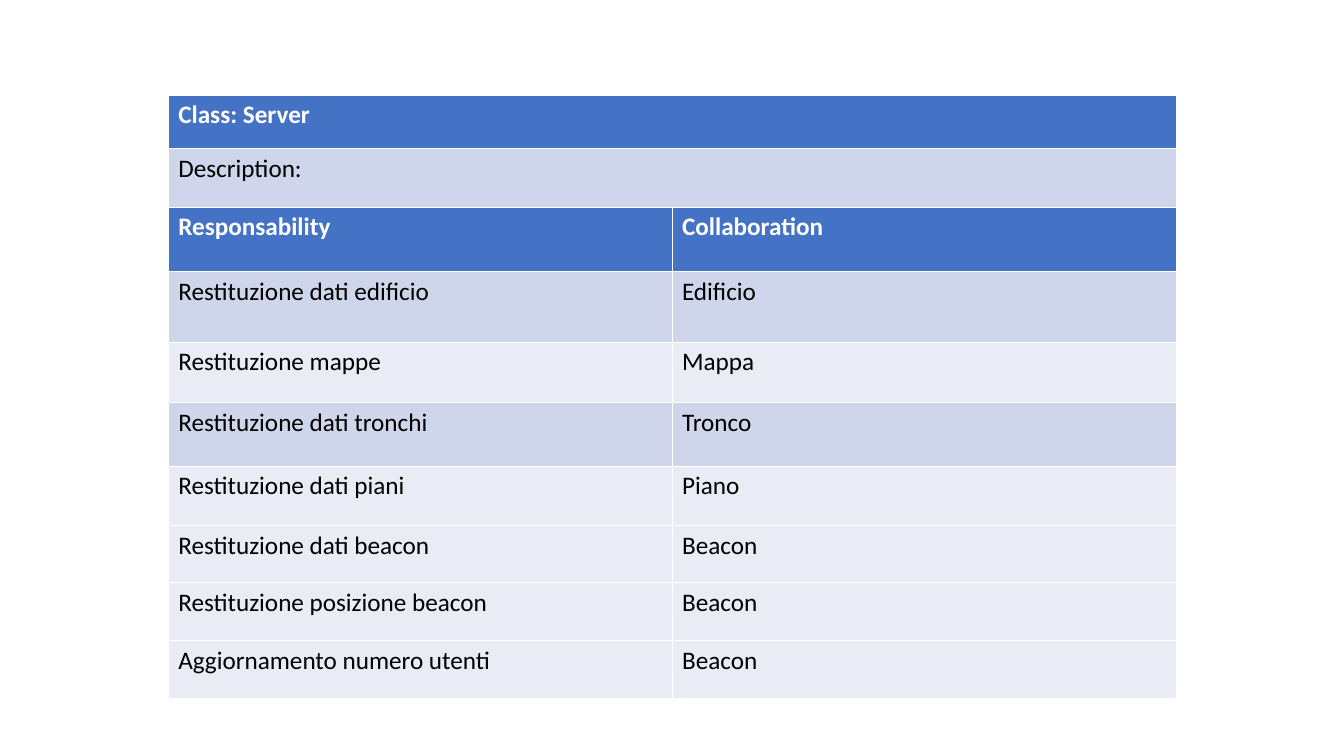
from lxml.etree import SubElement
from pptx import Presentation
from pptx.dml.color import RGBColor
from pptx.oxml.ns import qn
from pptx.util import Inches, Pt

WHITE = RGBColor(0xFF, 0xFF, 0xFF)
BLACK = RGBColor(0x00, 0x00, 0x00)
BLUE = RGBColor(0x44, 0x72, 0xC4)
DARK_BAND = RGBColor(0xCF, 0xD5, 0xEA)
LIGHT_BAND = RGBColor(0xE9, 0xEB, 0xF5)

LEFT, WIDTH = 1.67, 10
THIN, THICK = Pt(0.23), Pt(0.75)

# Each row: height, fill, texts
CLASS_ROWS = [
    (0.53, BLUE, ["Class: Server"]),
    (0.59, DARK_BAND, ["Description:"]),
]
DUTY_ROWS = [
    (0.64, BLUE, ["Responsability", "Collaboration"]),
    (0.7, DARK_BAND, ["Restituzione dati edificio", "Edificio"]),
    (0.6, LIGHT_BAND, ["Restituzione mappe", "Mappa"]),
    (0.63, DARK_BAND, ["Restituzione dati tronchi", "Tronco"]),
    (0.59, LIGHT_BAND, ["Restituzione dati piani", "Piano"]),
    (0.57, LIGHT_BAND, ["Restituzione dati beacon", "Beacon"]),
    (0.57, LIGHT_BAND, ["Restituzione posizione beacon", "Beacon"]),
    (0.58, LIGHT_BAND, ["Aggiornamento numero utenti", "Beacon"]),
]


def set_borders(cell, top, bottom):
    """Draw white cell borders; must run before the fill is set."""
    properties = cell._tc.get_or_add_tcPr()
    sides = {"lnL": THIN, "lnR": THIN, "lnT": top, "lnB": bottom}
    for side, width in sides.items():
        line = SubElement(properties, qn(f"a:{side}"), w=str(int(width)))
        solid = SubElement(line, qn("a:solidFill"))
        SubElement(solid, qn("a:srgbClr"), val=str(WHITE))


def write_cell(cell, text, is_header):
    paragraph = cell.text_frame.paragraphs[0]
    paragraph.line_spacing = 0.98
    run = paragraph.add_run()
    run.text = text
    run.font.name = "Calibri"
    run.font.size = Pt(18)
    run.font.bold = is_header
    run.font.color.rgb = WHITE if is_header else BLACK


def add_card_table(slide, top, rows):
    """Add a table whose first row is a header with a thicker line below it."""
    columns = len(rows[0][2])
    height = sum(row[0] for row in rows)
    table = slide.shapes.add_table(
        len(rows), columns, Inches(LEFT), Inches(top), Inches(WIDTH), Inches(height)
    ).table
    for column in table.columns:
        column.width = Inches(WIDTH / columns)
    for index, (row_height, fill, texts) in enumerate(rows):
        table.rows[index].height = Inches(row_height)
        for cell, text in zip(table.rows[index].cells, texts):
            set_borders(
                cell,
                top=THICK if index == 1 else THIN,
                bottom=THICK if index == 0 else THIN,
            )
            cell.fill.solid()
            cell.fill.fore_color.rgb = fill
            write_cell(cell, text, is_header=index == 0)


def main():
    presentation = Presentation()
    presentation.slide_width = Inches(13.34)
    presentation.slide_height = Inches(7.5)
    slide = presentation.slides.add_slide(presentation.slide_layouts[6])
    add_card_table(slide, 2.05, DUTY_ROWS)
    add_card_table(slide, 0.94, CLASS_ROWS)
    presentation.save("out.pptx")


if __name__ == "__main__":
    main()
